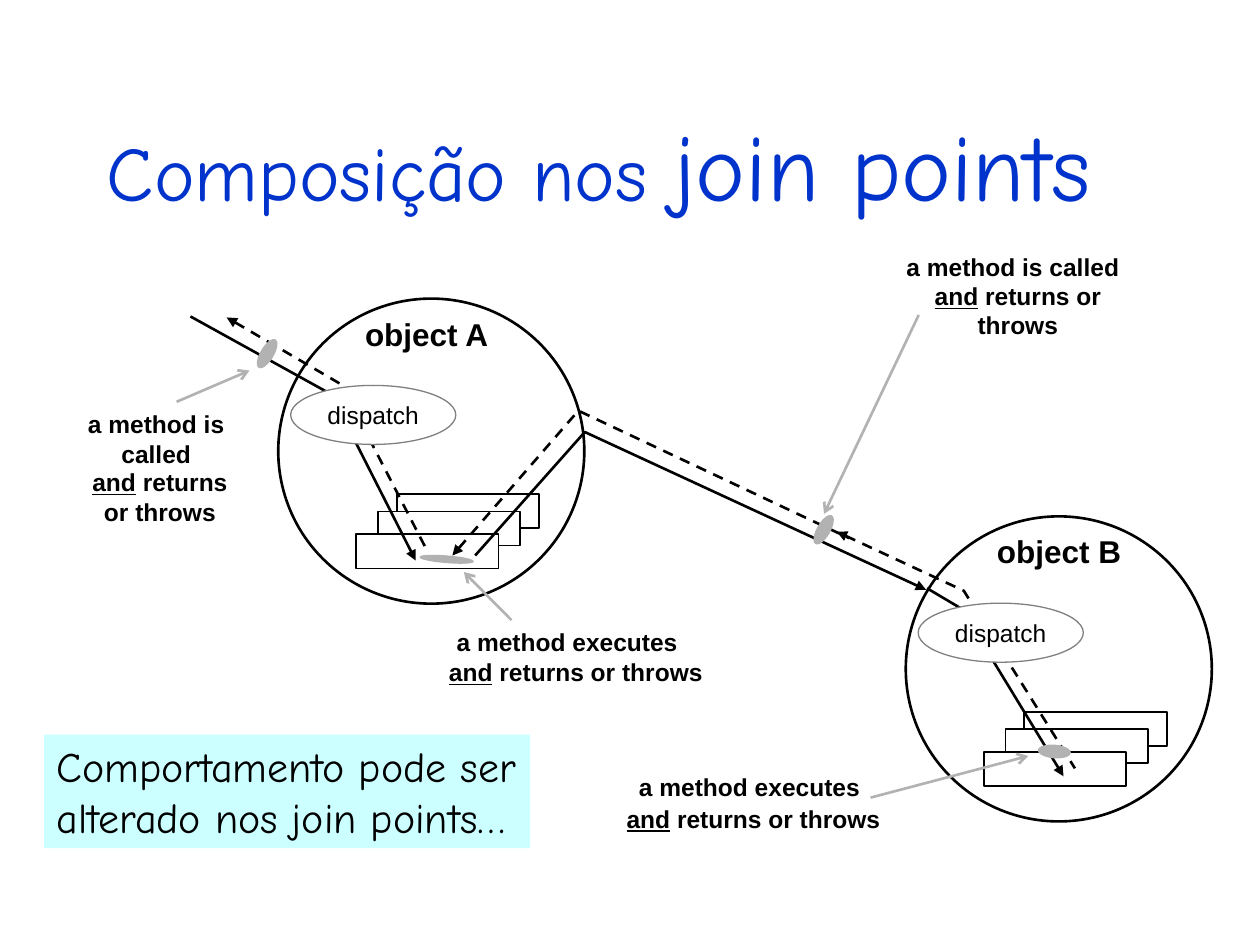
import pptx
import pptx.dml.color
import pptx.enum.dml
import pptx.enum.shapes
import pptx.enum.text
import pptx.oxml.ns
import pptx.util
from lxml import etree

Cm = pptx.util.Cm
Pt = pptx.util.Pt
Align = pptx.enum.text.PP_ALIGN
Anchor = pptx.enum.text.MSO_ANCHOR
Shape = pptx.enum.shapes.MSO_SHAPE


def color(hex_code):
    return pptx.dml.color.RGBColor.from_string(hex_code)


def write(paragraph, text, size=14, font="Arial", ink="000000", bold=False, underline=False):
    run = paragraph.add_run()
    run.text = text
    run.font.size = Pt(size)
    run.font.name = font
    run.font.color.rgb = color(ink)
    run.font.bold = bold
    run.font.underline = underline


class JoinPointSlide:
    """Draws the objects, messages and labels of a join point diagram."""

    black = "000000"
    white = "FFFFFF"
    gray = "B2B2B2"
    display_font = "Comic Neue"

    def __init__(self, presentation):
        self.slide = presentation.slides.add_slide(presentation.slide_layouts[5])
        self.shapes = self.slide.shapes

    def title(self, parts, left, top, width, height):
        heading = self.shapes.title
        heading.left, heading.top = Cm(left), Cm(top)
        heading.width, heading.height = Cm(width), Cm(height)
        frame = heading.text_frame
        frame.auto_size = pptx.enum.text.MSO_AUTO_SIZE.NONE
        frame.vertical_anchor = Anchor.MIDDLE
        frame.paragraphs[0].alignment = Align.LEFT
        for text, size in parts:
            write(frame.paragraphs[0], text, size=size, font=self.display_font, ink="0033CC")

    def outline(self, kind, left, top, width, height, fill=None, line=None, weight=1):
        figure = self.shapes.add_shape(kind, Cm(left), Cm(top), Cm(width), Cm(height))
        figure.shadow.inherit = False
        if fill:
            figure.fill.solid()
            figure.fill.fore_color.rgb = color(fill)
        else:
            figure.fill.background()
        if line:
            figure.line.color.rgb = color(line)
            figure.line.width = Pt(weight)
        else:
            figure.line.fill.background()
        return figure

    def label(self, text, left, top, width, height=0.86, size=14, underlined=""):
        frame = self.shapes.add_textbox(Cm(left), Cm(top), Cm(width), Cm(height)).text_frame
        frame.word_wrap = True
        paragraph = frame.paragraphs[0]
        paragraph.alignment = Align.CENTER
        if underlined:
            write(paragraph, underlined, size=size, bold=True, underline=True)
        for index, line in enumerate(text.split("\n")):
            if index:
                paragraph.add_line_break()
            write(paragraph, line, size=size, bold=True)

    def object(self, name, left, top, name_width):
        for dx, dy in [(2.39, 3.94), (2.01, 4.29), (1.57, 4.75)]:
            self.outline(Shape.RECTANGLE, left + dx, top + dy, 2.87, 0.69,
                         fill=self.white, line=self.black)
        self.outline(Shape.OVAL, left, top, 6.17, 6.15, line=self.black, weight=1.5)
        self.label(name, left + 1.4, top + 0.2, name_width, 1.02, size=18)

    def dispatch(self, left, top):
        oval = self.outline(Shape.OVAL, left + 0.25, top + 1.75, 3.33, 1.19,
                            fill=self.white, line="808080", weight=0.75)
        frame = oval.text_frame
        frame.word_wrap = False
        frame.vertical_anchor = Anchor.MIDDLE
        frame.paragraphs[0].alignment = Align.CENTER
        write(frame.paragraphs[0], "dispatch")

    def arrowhead(self, arrow, end, kind):
        line = arrow._element.spPr.get_or_add_ln()
        etree.SubElement(line, pptx.oxml.ns.qn("a:" + end), type=kind)

    def message(self, points, reply=False):
        corners = [(Cm(x), Cm(y)) for x, y in points]
        builder = self.shapes.build_freeform(*corners[0])
        builder.add_line_segments(corners[1:], close=False)
        route = builder.convert_to_shape()
        route.shadow.inherit = False
        route.fill.background()
        route.line.color.rgb = color(self.black)
        route.line.width = Pt(1.5)
        if reply:
            route.line.dash_style = pptx.enum.dml.MSO_LINE.DASH
        self.arrowhead(route, "headEnd" if reply else "tailEnd", "triangle")

    def join_point(self, left, top, width, height, rotation, start, end):
        marker = self.outline(Shape.OVAL, left, top, width, height,
                              fill=self.gray, line=self.gray, weight=0.75)
        marker.rotation = rotation
        pointer = self.shapes.add_connector(
            pptx.enum.shapes.MSO_CONNECTOR.STRAIGHT,
            Cm(start[0]), Cm(start[1]), Cm(end[0]), Cm(end[1]))
        pointer.line.color.rgb = color(self.gray)
        pointer.line.width = Pt(1.5)
        self.arrowhead(pointer, "tailEnd", "arrow")
        etree.SubElement(pointer._element.spPr, pptx.oxml.ns.qn("a:effectLst"))

    def note(self, lines, left, top, width, height):
        panel = self.outline(Shape.RECTANGLE, left, top, width, height, fill="CCFFFF")
        frame = panel.text_frame
        frame.word_wrap = False
        frame.vertical_anchor = Anchor.TOP
        for index, line in enumerate(lines):
            paragraph = frame.add_paragraph() if index else frame.paragraphs[0]
            paragraph.alignment = Align.LEFT
            write(paragraph, line, size=24, font=self.display_font)


def main():
    presentation = pptx.Presentation()
    presentation.slide_width, presentation.slide_height = Cm(25.4), Cm(19.05)
    diagram = JoinPointSlide(presentation)
    diagram.title([("Composição nos ", 44), ("join points", 54)], 1.9, 1.7, 21.59, 3.18)

    object_a, object_b = (5.61, 6.02), (18.26, 10.41)
    diagram.object("object A", *object_a, name_width=3.18)
    diagram.object("object B", *object_b, name_width=3.38)

    calls = [
        [(9.58, 11.2), (11.79, 8.71), (18.67, 11.89)],
        [(3.84, 6.38), (6.68, 7.95), (8.38, 11.3)],
        [(18.69, 11.86), (19.38, 12.27), (21.44, 15.65)],
    ]
    replies = [
        [(9.12, 11.2), (11.66, 8.28), (17.12, 10.85)],
        [(4.57, 6.4), (6.88, 7.75), (8.61, 11.1)],
        [(16.87, 10.72), (19.43, 11.91), (21.67, 15.49)],
    ]
    for points in calls:
        diagram.message(points)
    for points in replies:
        diagram.message(points, reply=True)
    for corner in (object_a, object_b):
        diagram.dispatch(*corner)

    diagram.join_point(5.26, 6.81, 0.25, 0.64, 30.7, (3.56, 8.1), (5.03, 7.47))
    diagram.join_point(16.48, 10.36, 0.25, 0.64, 29.7, (18.52, 6.35), (16.61, 10.36))
    diagram.join_point(8.94, 10.74, 0.13, 1.07, 94.6, (10.31, 12.5), (9.35, 11.53))
    diagram.join_point(21.13, 14.83, 0.25, 0.64, 94.6, (17.55, 16.08), (20.73, 15.24))

    called, executes = "a method is called", "a method executes"
    outcome = " returns or throws"
    diagram.label(called, 1.27, 8.13, 3.76, 1.45)
    diagram.label(" returns\nor throws", 1.47, 9.3, 3.51, 1.45, underlined="and")
    diagram.label(called, 17.98, 4.95, 4.88)
    diagram.label(outcome, 17.98, 5.54, 5.08, 1.45, underlined="and")
    diagram.label(executes, 6.99, 12.52, 8.89)
    diagram.label(outcome, 8.69, 13.13, 5.84, underlined="and")
    diagram.label(executes, 12.47, 15.44, 5.28)
    diagram.label(outcome, 12.27, 16.08, 5.84, underlined="and")

    diagram.note(["Comportamento pode ser", "alterado nos join points…"], 0.89, 14.81, 9.8, 2.29)
    presentation.save("out.pptx")


if __name__ == "__main__":
    main()
